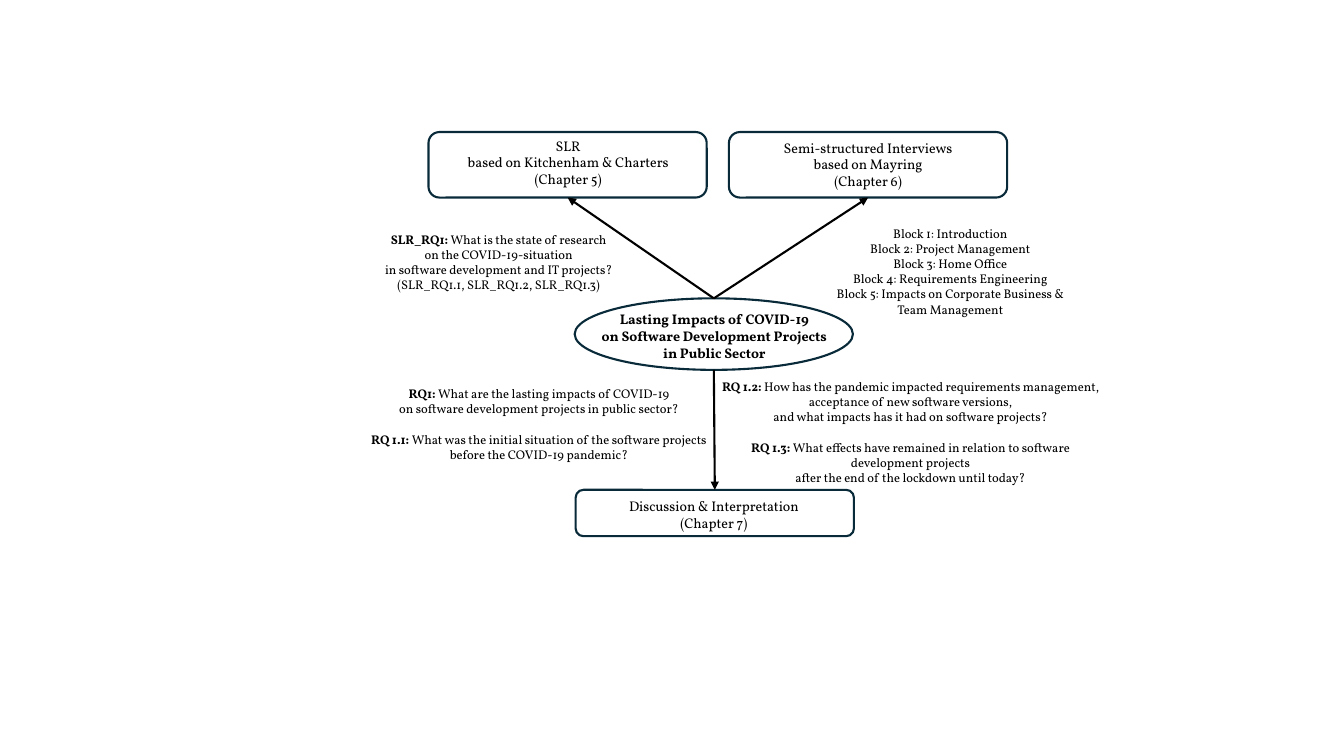
from lxml.etree import SubElement
from pptx import Presentation
from pptx.dml.color import RGBColor
from pptx.enum.shapes import MSO_CONNECTOR, MSO_SHAPE
from pptx.enum.text import MSO_AUTO_SIZE, PP_ALIGN
from pptx.oxml.ns import qn
from pptx.util import Inches, Pt

NAVY = RGBColor(0x09, 0x2A, 0x39)
BLACK = RGBColor(0, 0, 0)
FONT = "Vollkorn"
NODE_WIDTH = 2.76
LINE_WIDTH = 1.5
QUESTION_GAP = 11

NODES = {
    "topic": (MSO_SHAPE.OVAL, 5.7, 2.96, 0.71),
    "review": (MSO_SHAPE.ROUNDED_RECTANGLE, 4.25, 1.31, 0.65),
    "interviews": (MSO_SHAPE.ROUNDED_RECTANGLE, 7.23, 1.31, 0.65),
    "discussion": (MSO_SHAPE.ROUNDED_RECTANGLE, 5.71, 4.86, 0.46),
}
ARROWS = [("topic", "interviews"), ("topic", "review"), ("topic", "discussion")]

LABELS = [
    ((5.63, 3.03, 2.91, 0.61),
     [["Lasting Impacts of COVID-19", "on Software Development Projects", "in Public Sector"]],
     {"bold": True, "wrap": True}),
    ((4.5, 1.31, 2.27, 0.61),
     [["SLR", "based on Kitchenham & Charters", "(Chapter 5)"]], {}),
    ((7.66, 1.33, 1.9, 0.61),
     [["Semi-structured Interviews", "based on Mayring", "(Chapter 6)"]], {}),
    ((6.12, 4.89, 1.92, 0.44),
     [["Discussion & Interpretation", "(Chapter 7)"]], {}),
    ((3.69, 2.25, 2.51, 0.71),
     [[("SLR_RQ1: ", "What is the state of research"),
       "on the COVID-19-situation",
       "in software development and IT projects?",
       "(SLR_RQ1.1, SLR_RQ1.2, SLR_RQ1.3)"]],
     {"size": 9}),
    ((8.16, 2.19, 2.53, 1.01),
     [["Block 1: Introduction", "Block 2: Project Management", "Block 3: Home Office",
       "Block 4: Requirements Engineering", "Block 5: Impacts on Corporate Business &",
       "Team Management"]],
     {"size": 9}),
    ((3.53, 3.78, 3.63, 0.86),
     [[("RQ1: ", "What are the lasting impacts of COVID-19"),
       "on software development projects in public sector?"],
      [("RQ 1.1: ", "What was the initial situation of the software projects"),
       "before the COVID-19 pandemic?"]],
     {"size": 9, "wrap": True}),
    ((7.01, 3.71, 4.04, 1.16),
     [[("RQ 1.2: ", "How has the pandemic impacted requirements management,"),
       "acceptance of new software versions,",
       "and what impacts has it had on software projects?"],
      [("RQ 1.3: ", "What effects have remained in relation to software development projects"),
       "after the end of the lockdown until today?"]],
     {"size": 9, "wrap": True}),
]


def add_node(shapes, kind, left, top, height):
    """Draw one outlined node."""
    node = shapes.add_shape(kind, Inches(left), Inches(top), Inches(NODE_WIDTH), Inches(height))
    node.shadow.inherit = False
    node.fill.background()
    node.line.color.rgb = NAVY
    node.line.width = Pt(LINE_WIDTH)
    return node


def add_label(shapes, box, blocks, *, size=10, bold=False, wrap=False):
    """Write centred blocks of lines, where a pair is a bold lead and its text."""
    label = shapes.add_textbox(*map(Inches, box))
    frame = label.text_frame
    frame.word_wrap = wrap
    frame.auto_size = MSO_AUTO_SIZE.SHAPE_TO_FIT_TEXT
    paragraph = None
    for block_index, lines in enumerate(blocks):
        for line_index, line in enumerate(lines):
            paragraph = frame.add_paragraph() if paragraph else frame.paragraphs[0]
            paragraph.alignment = PP_ALIGN.CENTER
            if block_index and not line_index:
                paragraph.space_before = Pt(QUESTION_GAP)
            pieces = [(line, bold)] if isinstance(line, str) else zip(line, (True, False))
            for text, is_bold in pieces:
                run = paragraph.add_run()
                run.text = text
                run.font.name = FONT
                run.font.size = Pt(size)
                run.font.bold = is_bold
                run.font.color.rgb = BLACK


def add_arrow(shapes, source, target):
    """Link the facing edges of two nodes with an arrow."""
    upward = target.top < source.top
    start_y = source.top if upward else source.top + source.height
    end_y = target.top + target.height if upward else target.top
    start_x = source.left + source.width // 2
    end_x = target.left + target.width // 2
    arrow = shapes.add_connector(MSO_CONNECTOR.STRAIGHT, start_x, start_y, end_x, end_y)
    arrow.line.color.rgb = BLACK
    arrow.line.width = Pt(LINE_WIDTH)
    properties = arrow.element.spPr
    SubElement(properties.find(qn("a:ln")), qn("a:tailEnd"), type="triangle")
    SubElement(properties, qn("a:effectLst"))


def main():
    """Build the research design slide."""
    presentation = Presentation()
    presentation.slide_width = Inches(13.33)
    presentation.slide_height = Inches(7.5)
    slide = presentation.slides.add_slide(presentation.slide_layouts[6])
    shapes = slide.shapes.add_group_shape().shapes
    nodes = {name: add_node(shapes, *node) for name, node in NODES.items()}
    for source, target in ARROWS:
        add_arrow(shapes, nodes[source], nodes[target])
    for box, blocks, text_format in LABELS:
        add_label(shapes, box, blocks, **text_format)
    presentation.save("out.pptx")


if __name__ == "__main__":
    main()
